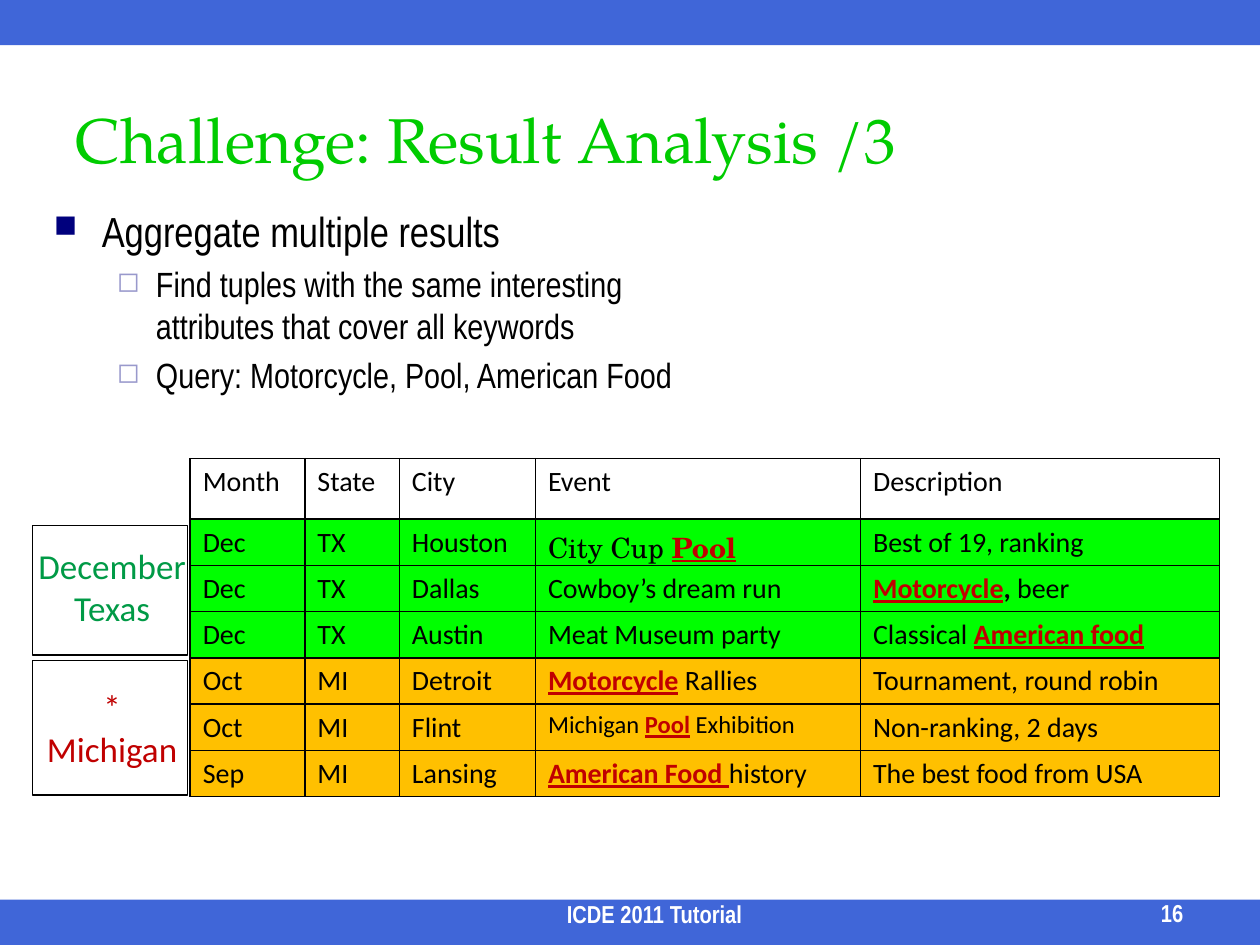
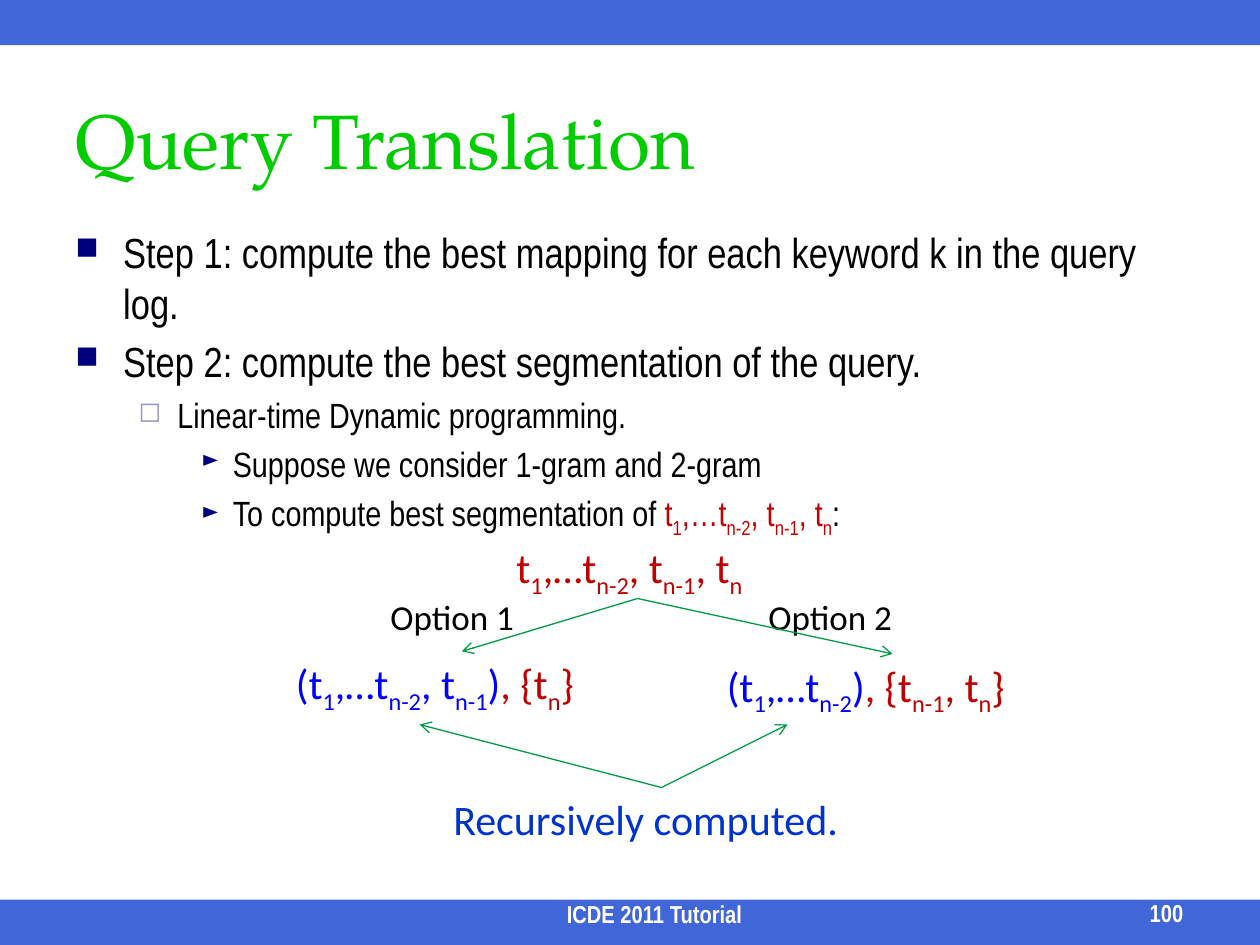
from dataclasses import dataclass
from typing import Optional, Sequence

from lxml.etree import SubElement
from pptx import Presentation
from pptx.dml.color import RGBColor
from pptx.enum.shapes import MSO_CONNECTOR as Connector, MSO_SHAPE as Preset
from pptx.enum.text import MSO_ANCHOR as Anchor, MSO_AUTO_SIZE as AutoSize, PP_ALIGN as Align
from pptx.oxml.ns import qn
from pptx.util import Inches, Pt


@dataclass(frozen=True)
class Theme:
    band: str = "0033CC"
    title: str = "00CC00"
    text: str = "000000"
    footer: str = "FFFFFF"
    keyword: str = "C00000"
    computed: str = "0000FF"
    green: str = "009A46"
    texas_fill: str = "00FF00"
    michigan_fill: str = "FFC000"
    bullet: str = "00007D"
    sub_bullet: str = "9999CC"
    title_font: str = "TeX Gyre Pagella"
    body_font: str = "Arial Narrow"
    label_font: str = "Calibri"
    event_font: str = "TeX Gyre Schola"
    large: int = 24
    medium: int = 20
    cell: int = 16
    small: int = 14


THEME = Theme()


@dataclass(frozen=True)
class Box:
    left: float
    top: float
    width: float
    height: float

    def lengths(self) -> tuple:
        return tuple(Inches(v) for v in (self.left, self.top, self.width, self.height))


@dataclass(frozen=True)
class Style:
    size: int
    font: str = THEME.label_font
    color: str = THEME.text
    bold: bool = False


@dataclass(frozen=True)
class Run:
    text: str
    color: Optional[str] = None
    bold: bool = False
    underline: bool = False
    subscript: bool = False


@dataclass(frozen=True)
class Level:
    size: int
    margin: float
    hanging: float
    symbol: str
    color: str
    percent: int


@dataclass(frozen=True)
class Cell:
    content: Sequence[Run]
    style: Style


LEVELS = (
    Level(THEME.large, 0.38, 0.38, "■", THEME.bullet, 75),
    Level(THEME.medium, 0.81, 0.31, "◻", THEME.sub_bullet, 80),
    Level(THEME.medium, 1.25, 0.25, "►", THEME.bullet, 65),
)
TITLE_BOX = Box(0.5, 0.5, 9, 1.2)
FOOTER_STYLE = Style(THEME.small, THEME.body_font, THEME.footer, True)
LABEL = Style(THEME.medium)
FORMULA = Style(THEME.large)
CELL = Style(THEME.cell)


def rgb(color: str) -> RGBColor:
    return RGBColor.from_string(color)


def keyword(text: str) -> Run:
    return Run(text, THEME.keyword, bold=True, underline=True)


def terms(markup: str, color: str) -> list[Run]:
    return [Run(part, color, subscript=index % 2 == 1)
            for index, part in enumerate(markup.split("|")) if part]


def write(paragraph, content, style: Style) -> None:
    runs = [Run(content)] if isinstance(content, str) else content
    paragraph.font.name = style.font
    paragraph.font.size = Pt(style.size)
    paragraph.font.bold = style.bold
    paragraph.font.color.rgb = rgb(style.color)
    for item in runs:
        run = paragraph.add_run()
        run.text = item.text
        if item.color:
            run.font.color.rgb = rgb(item.color)
        if item.bold:
            run.font.bold = True
        if item.underline:
            run.font.underline = True
        if item.subscript:
            run._r.get_or_add_rPr().set("baseline", "-25000")


def add_text(slide, box: Box, lines: Sequence, style: Style, align=Align.LEFT, anchor=Anchor.TOP):
    shape = slide.shapes.add_textbox(*box.lengths())
    frame = shape.text_frame
    frame.word_wrap = True
    frame.vertical_anchor = anchor
    for index, content in enumerate(lines):
        paragraph = frame.paragraphs[0] if index == 0 else frame.add_paragraph()
        paragraph.alignment = align
        write(paragraph, content, style)
    return shape


def add_bullets(slide, box: Box, items: Sequence[tuple]) -> None:
    frame = slide.shapes.add_textbox(*box.lengths()).text_frame
    frame.word_wrap = True
    for index, (depth, content) in enumerate(items):
        level = LEVELS[depth]
        paragraph = frame.paragraphs[0] if index == 0 else frame.add_paragraph()
        paragraph.level = depth
        if index:
            paragraph.space_before = Pt(level.size * 0.2)
        properties = paragraph._p.get_or_add_pPr()
        properties.set("marL", str(Inches(level.margin)))
        properties.set("indent", str(-Inches(level.hanging)))
        color = SubElement(properties, qn("a:buClr"))
        SubElement(color, qn("a:srgbClr"), val=level.color)
        SubElement(properties, qn("a:buSzPct"), val=str(level.percent * 1000))
        SubElement(properties, qn("a:buChar"), char=level.symbol)
        write(paragraph, content, Style(level.size, THEME.body_font))


def add_rectangle(slide, box: Box):
    shape = slide.shapes.add_shape(Preset.RECTANGLE, *box.lengths())
    shape.shadow.inherit = False
    return shape


def add_band(slide, top: float) -> None:
    band = add_rectangle(slide, Box(0, top, 10, 0.36))
    band.fill.solid()
    band.fill.fore_color.rgb = rgb(THEME.band)
    color = band._element.spPr.find(qn("a:solidFill"))[0]
    SubElement(color, qn("a:alpha"), val="75000")
    band.line.fill.background()


def add_slide(presentation, title: str, title_size: int, number: int):
    slide = presentation.slides.add_slide(presentation.slide_layouts[5])
    for top in (7.14, 0):
        add_band(slide, top)
    shape = slide.shapes.title
    shape.left, shape.top, shape.width, shape.height = TITLE_BOX.lengths()
    frame = shape.text_frame
    frame.auto_size = AutoSize.NONE
    frame.vertical_anchor = Anchor.MIDDLE
    frame.paragraphs[0].alignment = Align.LEFT
    write(frame.paragraphs[0], title, Style(title_size, THEME.title_font, THEME.title))
    add_text(slide, Box(2.32, 7.18, 5.75, 0.24), ["ICDE 2011 Tutorial"], FOOTER_STYLE,
             Align.CENTER, Anchor.BOTTOM)
    add_text(slide, Box(8.23, 7.17, 1.26, 0.24), [str(number)], FOOTER_STYLE,
             Align.RIGHT, Anchor.BOTTOM)
    return slide


def add_arrow(slide, start, end, target=None) -> None:
    arrow = slide.shapes.add_connector(Connector.STRAIGHT, 0, 0, *(Inches(v) for v in end))
    arrow.begin_connect(*start)
    if target:
        arrow.end_connect(target, 0)
    arrow.line.color.rgb = rgb(THEME.green)
    arrow.line.width = Pt(0.75)
    properties = arrow._element.spPr
    SubElement(properties.find(qn("a:ln")), qn("a:tailEnd"), type="arrow")
    SubElement(properties, qn("a:effectLst"))


def add_borders(cell) -> None:
    properties = cell._tc.get_or_add_tcPr()
    for index, side in enumerate(("lnL", "lnR", "lnT", "lnB")):
        border = SubElement(properties, qn(f"a:{side}"), w=str(Pt(1)))
        fill = SubElement(border, qn("a:solidFill"))
        SubElement(fill, qn("a:srgbClr"), val=THEME.text)
        properties.insert(index, border)


def add_event_table(slide) -> None:
    rows = (
        ("Month", "State", "City", "Event", "Description"),
        ("Dec", "TX", "Houston",
         Cell([Run("City Cup "), keyword("Pool")], Style(THEME.cell, THEME.event_font)),
         "Best of 19, ranking"),
        ("Dec", "TX", "Dallas", "Cowboy’s dream run",
         [keyword("Motorcycle"), Run(",", bold=True), Run(" beer")]),
        ("Dec", "TX", "Austin", "Meat Museum party",
         [Run("Classical "), keyword("American food")]),
        ("Oct", "MI", "Detroit", [keyword("Motorcycle"), Run(" Rallies")],
         "Tournament, round robin"),
        ("Oct", "MI", "Flint",
         Cell([Run("Michigan "), keyword("Pool"), Run(" Exhibition")], Style(THEME.small)),
         "Non-ranking, 2 days"),
        ("Sep", "MI", "Lansing", [keyword("American Food "), Run("history")],
         "The best food from USA"),
    )
    state_fills = {"TX": THEME.texas_fill, "MI": THEME.michigan_fill}
    widths = (0.91, 0.75, 1.08, 2.58, 2.85)
    heights = (0.48,) + (0.36,) * 6
    box = Box(1.51, 3.64, sum(widths), sum(heights))
    table = slide.shapes.add_table(len(rows), len(widths), *box.lengths()).table
    table.first_row = table.horz_banding = False
    for column, width in zip(table.columns, widths):
        column.width = Inches(width)
    for row, height, contents in zip(table.rows, heights, rows):
        row.height = Inches(height)
        fill = state_fills.get(contents[1])
        for cell, content in zip(row.cells, contents):
            item = content if isinstance(content, Cell) else Cell(content, CELL)
            write(cell.text_frame.paragraphs[0], item.content, item.style)
            if fill:
                cell.fill.solid()
                cell.fill.fore_color.rgb = rgb(fill)
            else:
                cell.fill.background()
            add_borders(cell)


def build_result_analysis(presentation) -> None:
    slide = add_slide(presentation, "Challenge: Result Analysis /3", 36, 16)
    add_bullets(slide, Box(0.33, 1.58, 5.67, 5.31), (
        (0, "Aggregate multiple results"),
        (1, "Find tuples with the same interesting attributes that cover all keywords"),
        (1, "Query: Motorcycle, Pool, American Food"),
    ))
    add_event_table(slide)
    groups = (
        (Box(0.26, 4.17, 1.23, 1.03), 4.27, ["December Texas"], THEME.green),
        (Box(0.26, 5.24, 1.23, 1.07), 5.39, ["*", "Michigan"], THEME.keyword),
    )
    for outline, text_top, lines, color in groups:
        frame = add_rectangle(slide, outline)
        frame.fill.background()
        frame.line.color.rgb = rgb(THEME.text)
        frame.line.width = Pt(0.75)
        add_text(slide, Box(0.1, text_top, 1.58, 0.77), lines,
                 Style(THEME.medium, color=color), Align.CENTER)


def build_query_translation(presentation) -> None:
    slide = add_slide(presentation, "Query Translation", 44, 100)
    query = terms("t|1|,…t|n-2|, t|n-1|, t|n|", THEME.keyword)
    add_bullets(slide, Box(0.5, 1.75, 9, 2.58), (
        (0, "Step 1: compute the best mapping for each keyword k in the query log."),
        (0, "Step 2: compute the best segmentation of the query."),
        (1, "Linear-time Dynamic programming."),
        (2, "Suppose we consider 1-gram and 2-gram"),
        (2, [Run("To compute best segmentation of "), *query, Run(":")]),
    ))
    root = add_text(slide, Box(4, 4.25, 2.12, 0.5), [query], FORMULA)
    recursion = add_text(slide, Box(3.5, 6.25, 3.5, 0.5), ["Recursively computed."],
                         Style(THEME.large, color=THEME.band))
    options = (
        ("Option 1", 3, Box(2.25, 5.17, 2.83, 0.5),
         "(t|1|,…t|n-2|, t|n-1|)", ", {t|n|}", 3.33),
        ("Option 2", 6, Box(5.67, 5.19, 2.83, 0.5),
         "(t|1|,…t|n-2|)", ", {t|n-1|, t|n|}", 6.25),
    )
    for name, name_left, box, prefix, segment, recursion_end in options:
        add_text(slide, Box(name_left, 4.68, 1.42, 0.44), [name], LABEL)
        runs = terms(prefix, THEME.computed) + terms(segment, THEME.keyword)
        option = add_text(slide, box, [runs], FORMULA)
        add_arrow(slide, (root, 2), (box.left + box.width / 2, box.top), option)
        add_arrow(slide, (recursion, 0), (recursion_end, 5.75))


def main() -> None:
    presentation = Presentation()
    presentation.slide_width = Inches(10)
    presentation.slide_height = Inches(7.5)
    build_result_analysis(presentation)
    build_query_translation(presentation)
    presentation.save("out.pptx")


if __name__ == "__main__":
    main()
